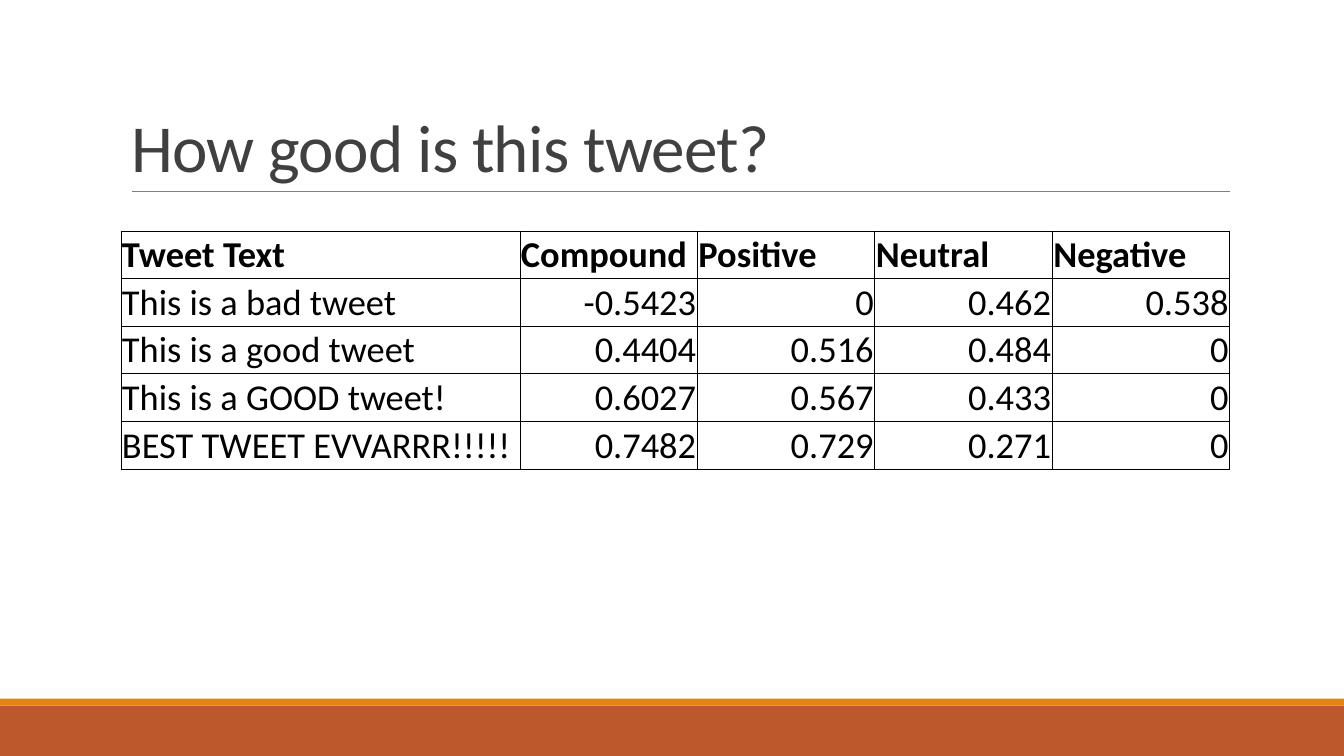
"""Build a slide that scores tweets by sentiment."""
from lxml.etree import SubElement
from pptx import Presentation
from pptx.dml.color import RGBColor
from pptx.enum.shapes import MSO_CONNECTOR, MSO_SHAPE
from pptx.enum.text import MSO_ANCHOR, MSO_AUTO_SIZE, PP_ALIGN
from pptx.oxml import parse_xml
from pptx.oxml.ns import nsdecls, qn
from pptx.util import Pt

TITLE = "How good is this tweet?"
ROWS = [
    ("Tweet Text", "Compound", "Positive", "Neutral", "Negative"),
    ("This is a bad tweet", "-0.5423", "0", "0.462", "0.538"),
    ("This is a good tweet", "0.4404", "0.516", "0.484", "0"),
    ("This is a GOOD tweet!", "0.6027", "0.567", "0.433", "0"),
    ("BEST TWEET EVVARRR!!!!!", "0.7482", "0.729", "0.271", "0"),
]
COLORS = {"title": "404040", "text": "000000", "border": "000000",
          "rule": "808080", "band": "BD582C", "stripe": "E48312"}
FONT = "Calibri"
SLIDE_W, SLIDE_H = 960, 540
LEFT, WIDTH = 86.4, 792
TABLE_TOP, ROW_H = 165, 34
TEXT_COL = 285
SCORE_COL = (WIDTH - TEXT_COL) / (len(ROWS[0]) - 1)
BANDS = [("band", 504, 36), ("stripe", 499, 5)]
RULE_X1, RULE_X2, RULE_Y = 94.3, 878.7, 136.8


def color(name):
    return RGBColor.from_string(COLORS[name])


def add_run(p, text, size, name, bold=False):
    r = p.add_run()
    r.text = text
    r.font.name, r.font.size, r.font.bold = FONT, Pt(size), bold
    r.font.color.rgb = color(name)
    return r


def add_borders(cell):
    tc_pr = cell._tc.get_or_add_tcPr()
    for i, side in enumerate(("lnL", "lnR", "lnT", "lnB")):
        tc_pr.insert(i, parse_xml(
            f'<a:{side} {nsdecls("a")} w="{Pt(0.5)}"><a:solidFill>'
            f'<a:srgbClr val="{COLORS["border"]}"/></a:solidFill></a:{side}>'))


def add_background(s):
    for name, top, height in BANDS:
        sp = s.shapes.add_shape(MSO_SHAPE.RECTANGLE, 0, Pt(top), Pt(SLIDE_W), Pt(height))
        sp.shadow.inherit = False
        sp.fill.solid()
        sp.fill.fore_color.rgb = color(name)
        sp.line.fill.background()
    rule = s.shapes.add_connector(MSO_CONNECTOR.STRAIGHT, Pt(RULE_X1), Pt(RULE_Y),
                                  Pt(RULE_X2), Pt(RULE_Y))
    rule.line.color.rgb = color("rule")
    rule.line.width = Pt(0.5)
    SubElement(rule._element.spPr, qn("a:effectLst"))


def add_title(s):
    sp = s.shapes.title
    sp.left, sp.top, sp.width, sp.height = Pt(LEFT), Pt(22.4), Pt(WIDTH), Pt(114.4)
    tf = sp.text_frame
    tf.word_wrap = True
    tf.auto_size = MSO_AUTO_SIZE.NONE
    tf.vertical_anchor = MSO_ANCHOR.BOTTOM
    p = tf.paragraphs[0]
    p.alignment = PP_ALIGN.LEFT
    p.line_spacing = 0.85
    r = add_run(p, TITLE, 48, "title")
    r.font._element.set("spc", "-50")


def add_scores(s):
    frame = s.shapes.add_table(len(ROWS), len(ROWS[0]), Pt(LEFT), Pt(TABLE_TOP),
                               Pt(WIDTH), Pt(ROW_H * len(ROWS)))
    table = frame.table
    table.horz_banding = False
    for j, col in enumerate(table.columns):
        col.width = Pt(SCORE_COL if j else TEXT_COL)
    for i, values in enumerate(ROWS):
        table.rows[i].height = Pt(ROW_H)
        for j, value in enumerate(values):
            cell = table.cell(i, j)
            cell.fill.background()
            add_borders(cell)
            cell.margin_left = cell.margin_right = cell.margin_top = Pt(0.75)
            cell.margin_bottom = 0
            cell.vertical_anchor = MSO_ANCHOR.MIDDLE
            p = cell.text_frame.paragraphs[0]
            p.alignment = PP_ALIGN.RIGHT if i and j else PP_ALIGN.LEFT
            add_run(p, value, 26, "text", bold=i == 0)


def main():
    prs = Presentation()
    prs.slide_width, prs.slide_height = Pt(SLIDE_W), Pt(SLIDE_H)
    s = prs.slides.add_slide(prs.slide_layouts[5])
    add_background(s)
    add_title(s)
    add_scores(s)
    prs.save("out.pptx")


if __name__ == "__main__":
    main()
